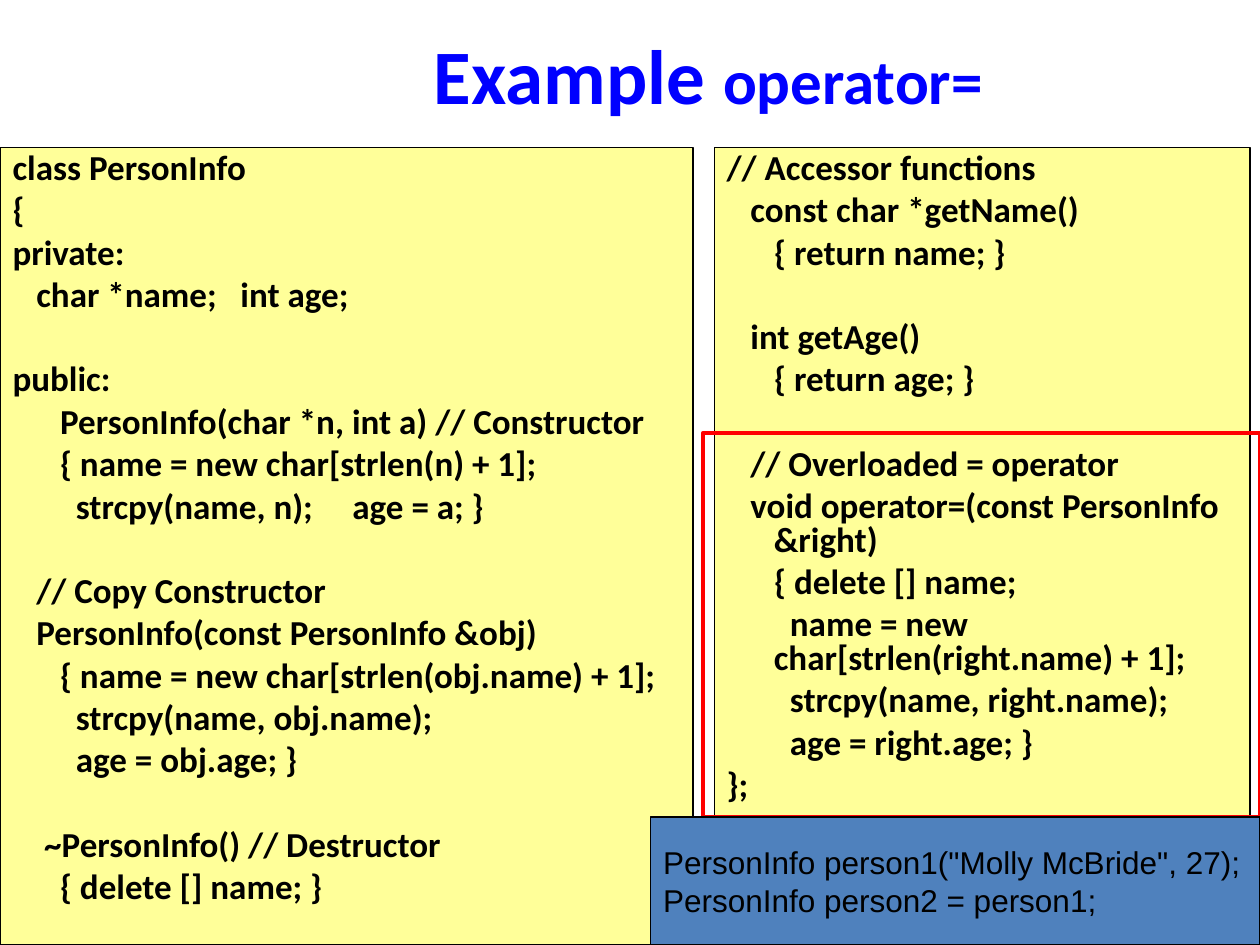
import dataclasses

import pptx
import pptx.dml.color
import pptx.enum.shapes
import pptx.enum.text
import pptx.oxml
import pptx.oxml.ns
import pptx.util

Cm = pptx.util.Cm
Pt = pptx.util.Pt
RGB = pptx.dml.color.RGBColor
ALIGN = pptx.enum.text.PP_ALIGN
ANCHOR = pptx.enum.text.MSO_ANCHOR
RECTANGLE = pptx.enum.shapes.MSO_SHAPE.RECTANGLE


@dataclasses.dataclass(frozen=True)
class Theme:
    heading: RGB = RGB(0x00, 0x00, 0xFF)
    ink: RGB = RGB(0x00, 0x00, 0x00)
    code_fill: RGB = RGB(0xFF, 0xFF, 0x99)
    usage_fill: RGB = RGB(0x4F, 0x81, 0xBD)
    highlight: RGB = RGB(0xFF, 0x00, 0x00)
    main_font: str = "Calibri"
    usage_font: str = "Arial"
    title_size: Pt = Pt(44)
    title_code_size: Pt = Pt(36)
    code_size: Pt = Pt(20)
    usage_size: Pt = Pt(18)
    line_gap: Pt = Pt(5)
    section_gap: Pt = Pt(29)
    thin: Pt = Pt(0.75)
    thick: Pt = Pt(2.25)


theme = Theme()

# Each inner list is one section of code; sections are set apart by a wider gap.
class_sections = [
    ["class PersonInfo", "{", "private:", "   char *name;   int age;"],
    [
        "public:",
        "      PersonInfo(char *n, int a) // Constructor",
        "      { name = new char[strlen(n) + 1];",
        "        strcpy(name, n);     age = a; }",
    ],
    [
        "   // Copy Constructor",
        "   PersonInfo(const PersonInfo &obj)",
        "      { name = new char[strlen(obj.name) + 1];",
        "        strcpy(name, obj.name);",
        "        age = obj.age; }",
    ],
    ["    ~PersonInfo() // Destructor", "      { delete [] name; }"],
]
member_sections = [
    ["// Accessor functions", "   const char *getName()", "      { return name; }"],
    ["   int getAge()", "      { return age; }"],
    [
        "   // Overloaded = operator",
        "   void operator=(const PersonInfo &right)",
        "      { delete [] name;",
        "        name = new char[strlen(right.name) + 1];",
        "        strcpy(name, right.name);",
        "        age = right.age; }",
        "};",
    ],
]
usage_lines = [
    'PersonInfo person1("Molly McBride", 27);',
    "PersonInfo person2 = person1;",
]


def outline(shape, color, width, fill=None):
    """Give a shape its border and either a solid fill or none."""
    if fill is None:
        shape.fill.background()
    else:
        shape.fill.solid()
        shape.fill.fore_color.rgb = fill
    shape.line.color.rgb = color
    shape.line.width = width


def write_code(frame, sections):
    frame.word_wrap = True
    frame.auto_size = pptx.enum.text.MSO_AUTO_SIZE.NONE
    frame.vertical_anchor = ANCHOR.TOP
    paragraph = None
    for section in sections:
        for number, code in enumerate(section):
            if paragraph is None:
                paragraph = frame.paragraphs[0]
                gap = Pt(0)
            else:
                paragraph = frame.add_paragraph()
                gap = theme.line_gap if number else theme.section_gap
            properties = paragraph._p.get_or_add_pPr()
            properties.set("marL", str(Cm(0.95)))
            properties.set("indent", str(-Cm(0.95)))
            properties.append(pptx.oxml.parse_xml(
                f'<a:buNone {pptx.oxml.ns.nsdecls("a")}/>'))
            paragraph.alignment = ALIGN.LEFT
            paragraph.line_spacing = 0.8
            paragraph.space_before = gap
            run = paragraph.add_run()
            run.text = code
            run.font.name = theme.main_font
            run.font.size = theme.code_size
            run.font.bold = True
            run.font.color.rgb = theme.ink


deck = pptx.Presentation()
deck.slide_width = Cm(25.4)
deck.slide_height = Cm(19.05)
slide = deck.slides.add_slide(deck.slide_layouts[1])

# Title
title = slide.shapes.title
title.left, title.top, title.width, title.height = Cm(4.45), Cm(0.53), Cm(19.66), Cm(1.9)
title.text_frame.auto_size = pptx.enum.text.MSO_AUTO_SIZE.NONE
title.text_frame.vertical_anchor = ANCHOR.MIDDLE
heading = title.text_frame.paragraphs[0]
heading.alignment = ALIGN.CENTER
for words, size in [("Example ", theme.title_size), ("operator=", theme.title_code_size)]:
    run = heading.add_run()
    run.text = words
    run.font.name = theme.main_font
    run.font.size = size
    run.font.bold = True
    run.font.color.rgb = theme.heading

# Two columns of class code
code_top = Cm(2.97)
usage_top = Cm(16.47)

class_code = slide.placeholders[1]
class_code.left, class_code.top = Cm(0), code_top
class_code.width, class_code.height = Cm(13.97), deck.slide_height - code_top
outline(class_code, theme.ink, theme.thin, theme.code_fill)
write_code(class_code.text_frame, class_sections)

member_code = slide.shapes.add_shape(
    RECTANGLE, Cm(14.4), code_top, Cm(10.8), usage_top - code_top)
member_code.shadow.inherit = False
outline(member_code, theme.ink, theme.thin, theme.code_fill)
write_code(member_code.text_frame, member_sections)

# Frame around the overloaded operator
operator_left, operator_top = Cm(14.17), Cm(8.73)
operator_frame = slide.shapes.add_shape(
    RECTANGLE, operator_left, operator_top,
    deck.slide_width - operator_left, usage_top - operator_top)
operator_frame.shadow.inherit = False
outline(operator_frame, theme.highlight, theme.thick)

# Usage of the class
usage_left = Cm(13.12)
usage = slide.shapes.add_shape(
    RECTANGLE, usage_left, usage_top,
    deck.slide_width - usage_left, deck.slide_height - usage_top)
usage.shadow.inherit = False
outline(usage, theme.ink, theme.thin, theme.usage_fill)
usage.text_frame.word_wrap = False
usage.text_frame.vertical_anchor = ANCHOR.MIDDLE
for number, code in enumerate(usage_lines):
    paragraph = usage.text_frame.add_paragraph() if number else usage.text_frame.paragraphs[0]
    paragraph.alignment = ALIGN.LEFT
    run = paragraph.add_run()
    run.text = code
    run.font.name = theme.usage_font
    run.font.size = theme.usage_size
    run.font.color.rgb = theme.ink

deck.save("out.pptx")
